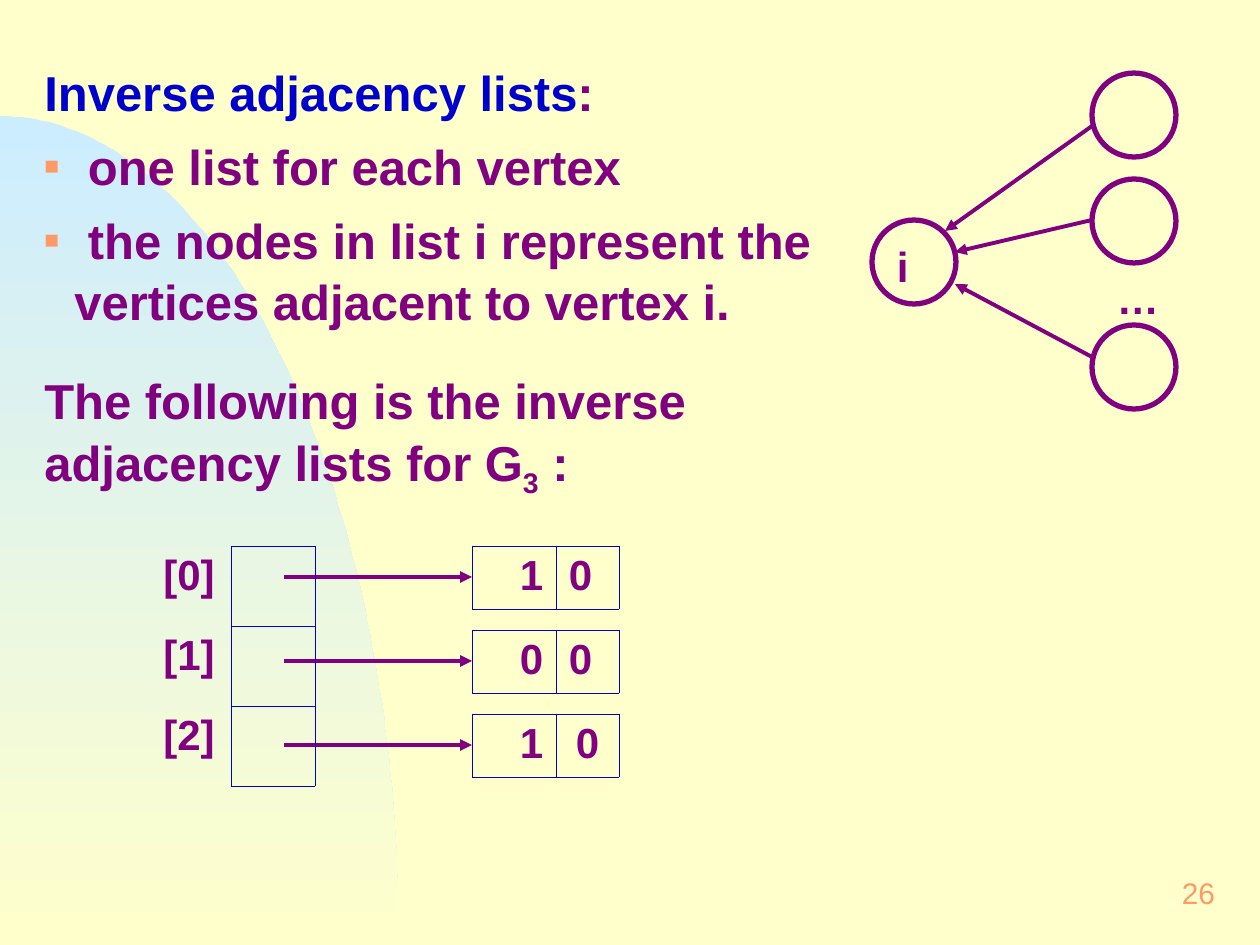
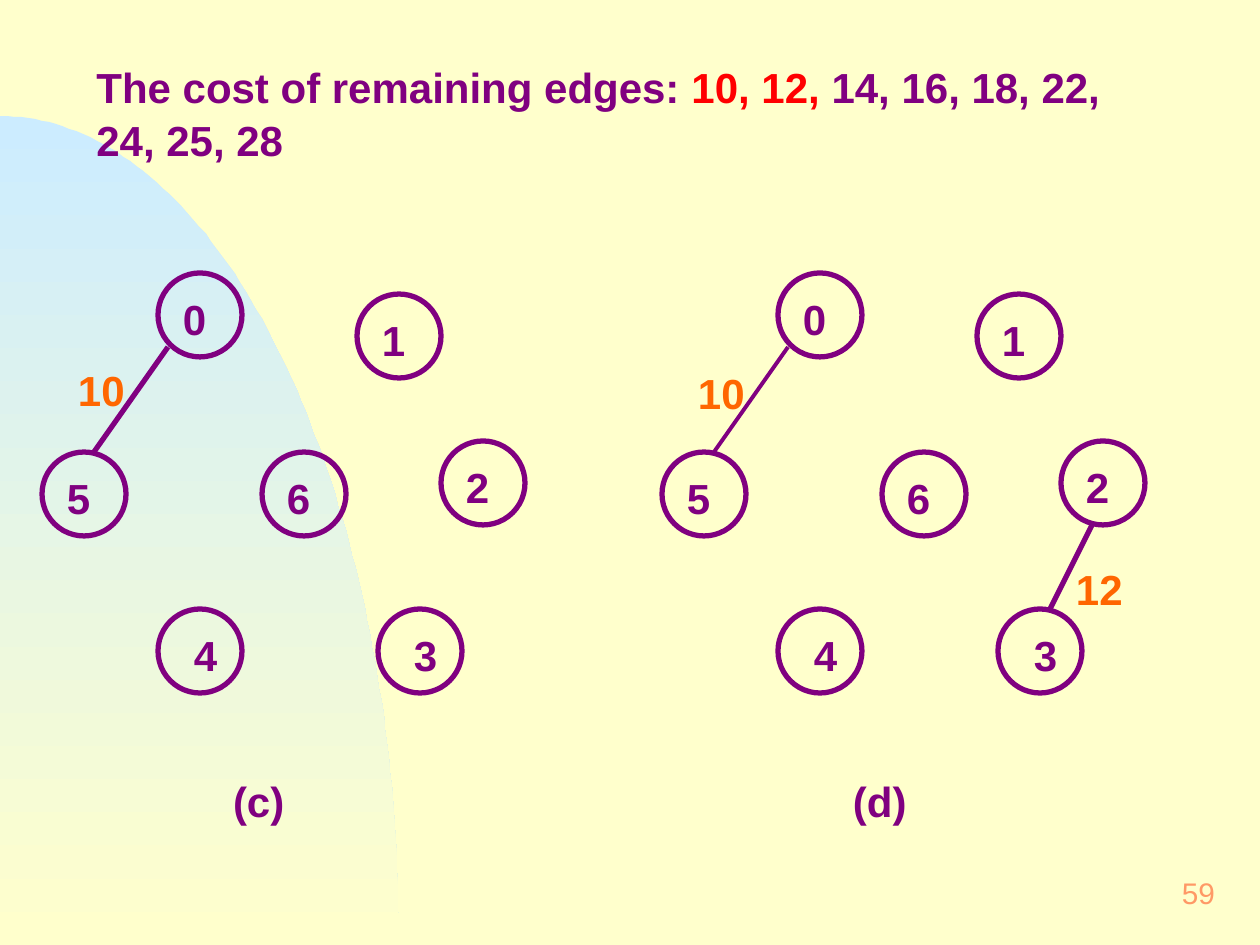
"""Build two graph slides: inverse adjacency lists and the first steps of a spanning tree."""
import math

import lxml.etree
import pptx
import pptx.dml.color
import pptx.enum.shapes
import pptx.enum.text
import pptx.oxml
import pptx.oxml.ns
import pptx.util

SCALE = 914400 / 126
WIDTH, HEIGHT = 1260, 945
CREAM, SKY, PURPLE, BLUE = "FFFFCC", "CCECFF", "800080", "0000CC"
SALMON, ORANGE, RED = "FF9966", "FF6600", "FF0000"
NODE = 84
HILL_WIDTH, HILL_TOP = 399, 116
NAMESPACE = pptx.oxml.ns.nsdecls("a")
ALIGN = pptx.enum.text.PP_ALIGN
rgb = pptx.dml.color.RGBColor.from_string


def px(*lengths):
    return [round(length * SCALE) for length in lengths]


def write(para, spans, size=24, bold=True):
    for text, color in spans:
        span = para.add_run()
        span.text = text
        span.font.name = "Arial"
        span.font.size = pptx.util.Pt(size)
        span.font.bold = bold
        span.font.color.rgb = rgb(color)


deck = pptx.Presentation()
deck.slide_width, deck.slide_height = px(WIDTH, HEIGHT)
background = deck.slide_master.background.fill
background.solid()
background.fore_color.rgb = rgb(CREAM)

list_page, tree_page = [deck.slides.add_slide(deck.slide_layouts[6]) for _ in range(2)]
hill = []
for step in range(1, 91):
    angle = math.radians(step)
    hill.append((HILL_WIDTH * math.sin(angle),
                 HEIGHT - (HEIGHT - HILL_TOP) * math.cos(angle)))

for page, number in ((list_page, "26"), (tree_page, "59")):
    builder = page.shapes.build_freeform(0, HILL_TOP, scale=SCALE)
    builder.add_line_segments(hill + [(0, HEIGHT)])
    shape = builder.convert_to_shape()
    shape.shadow.inherit = False
    shape.line.fill.background()
    shape.fill.gradient()
    shape.fill.gradient_angle = 270
    for stop, position, color in zip(shape.fill.gradient_stops, (0, 1), (SKY, CREAM)):
        stop.position = position
        stop.color.rgb = rgb(color)
    frame = page.shapes.add_textbox(*px(967, 861, 263, 63)).text_frame
    frame.word_wrap = True
    frame.margin_left = frame.margin_right = px(15)[0]
    frame.vertical_anchor = pptx.enum.text.MSO_ANCHOR.MIDDLE
    frame.paragraphs[0].alignment = ALIGN.RIGHT
    write(frame.paragraphs[0], [(number, SALMON)], 17, False)

# page, left, top, label, label shift
nodes = [(list_page, 872, 220, "i", 10)]
nodes += [(list_page, 1092, top, "", 0) for top in (73, 179, 325)]
labels = [(list_page, 1102, 262, "…", PURPLE)]
edges = [(list_page, 1092, 220, 955, 252, 2.25, True),
         (list_page, 1092, 126, 945, 231, 2.25, True),
         (list_page, 1092, 357, 955, 284, 2.25, True)]
edges += [(list_page, 284, top, 472, top, 2.25, True) for top in (577, 661, 745)]

places = [(158, 273), (357, 294), (441, 441), (378, 609), (158, 609), (42, 452), (262, 452)]
for left, caption, weight, cost_top in ((0, "(c)", 3, 354), (620, "(d)", 2.25, 357)):
    for vertex, (x, y) in enumerate(places):
        nodes.append((tree_page, left + x, y, str(vertex), 21 if vertex in (3, 4) else 10))
    edges.append((tree_page, left + 168, 347, left + 94, 452, weight, False))
    labels.append((tree_page, left + 63, cost_top, "10", ORANGE))
    labels.append((tree_page, left + 218, 765, caption, PURPLE))
edges.append((tree_page, 1092, 525, 1050, 609, 3, False))
labels.append((tree_page, 1061, 553, "12", ORANGE))

for page, left, top, label, shift in nodes:
    circle = page.shapes.add_shape(pptx.enum.shapes.MSO_SHAPE.OVAL, *px(left, top, NODE, NODE))
    circle.shadow.inherit = False
    circle.fill.background()
    circle.line.color.rgb = rgb(PURPLE)
    circle.line.width = pptx.util.Pt(3)
    if label:
        labels.append((page, left + shift, top + 10, label, PURPLE))

for page, left, top, text, color in labels:
    frame = page.shapes.add_textbox(*px(left, top, 94 if len(text) > 1 else 63, 65)).text_frame
    frame.word_wrap = True
    frame.margin_left, frame.margin_top, frame.margin_right, frame.margin_bottom = px(15, 8, 15, 8)
    frame.paragraphs[0].line_spacing = 1.05
    write(frame.paragraphs[0], [(text, color)])

for page, x1, y1, x2, y2, weight, arrow in edges:
    edge = page.shapes.add_connector(pptx.enum.shapes.MSO_CONNECTOR.STRAIGHT, *px(x1, y1, x2, y2))
    edge.line.color.rgb = rgb(PURPLE)
    edge.line.width = pptx.util.Pt(weight)
    if arrow:
        edge.line._get_or_add_ln().append(
            pptx.oxml.parse_xml(f'<a:tailEnd {NAMESPACE} type="triangle"/>'))
    lxml.etree.SubElement(edge._element.spPr, pptx.oxml.ns.qn("a:effectLst"))

frame = list_page.shapes.add_textbox(*px(32, 53, 819, 435)).text_frame
frame.word_wrap = True
statements = [
    (0, False, [("Inverse adjacency lists", BLUE), (":", PURPLE)]),
    (7, True, [(" one list for each vertex", PURPLE)]),
    (7, True, [(" the nodes in list i represent the vertices adjacent to vertex i.", PURPLE)]),
    (21, False, [("The following is the inverse adjacency lists for G", PURPLE),
                 ("3", PURPLE), (" :", PURPLE)]),
]
for index, (space, bullet, spans) in enumerate(statements):
    para = frame.add_paragraph() if index else frame.paragraphs[0]
    para.line_spacing = 1.05
    if space:
        para.space_before = pptx.util.Pt(space)
    if bullet:
        properties = para._p.get_or_add_pPr()
        hang = px(30)[0]
        properties.set("marL", str(hang))
        properties.set("indent", str(-hang))
        for markup in (f'<a:buClr {NAMESPACE}><a:srgbClr val="{SALMON}"/></a:buClr>',
                       f'<a:buSzPct {NAMESPACE} val="50000"/>',
                       f'<a:buFont {NAMESPACE} typeface="Arial"/>',
                       f'<a:buChar {NAMESPACE} char="■"/>'):
            properties.append(pptx.oxml.parse_xml(markup))
    write(para, spans, 28)
frame.paragraphs[3].runs[1].font._element.set("baseline", "-25000")

# left, top, column widths, row height, rows of (text, alignment, left margin, bordered sides)
tables = [(147, 546, (84, 84), 80,
           [[(f"[{row}]", ALIGN.CENTER, 13, "R"), ("", ALIGN.LEFT, 13, "LRTB")]
            for row in range(3)])]
for row, (vertex, alignment) in enumerate((("1", ALIGN.LEFT), ("0", ALIGN.LEFT),
                                           ("1", ALIGN.CENTER))):
    tables.append((472, 546 + 84 * row, (84, 63), 63,
                   [[(vertex, ALIGN.LEFT, 48, "LRTB"), ("0", alignment, 13, "LRTB")]]))

for left, top, widths, row_height, rows in tables:
    table = list_page.shapes.add_table(
        len(rows), len(widths), *px(left, top, sum(widths), row_height * len(rows))).table
    table.first_row = table.horz_banding = False
    table._tbl.tblPr[0].text = "{2D5ABB26-0587-4C30-8999-92F81FD0307C}"
    for column, width in zip(table.columns, px(*widths)):
        column.width = width
    for row, contents in zip(table.rows, rows):
        row.height = px(row_height)[0]
        for cell, (text, alignment, margin, sides) in zip(row.cells, contents):
            cell.fill.background()
            cell.margin_left = px(margin)[0]
            cell.margin_right = px(4)[0] if margin > 13 else px(13)[0]
            para = cell.text_frame.paragraphs[0]
            para.alignment = alignment
            if text:
                write(para, [(text, PURPLE)])
            for position, side in enumerate(sides):
                cell._tc.get_or_add_tcPr().insert(position, pptx.oxml.parse_xml(
                    f'<a:ln{side} {NAMESPACE} w="5715"><a:solidFill>'
                    f'<a:srgbClr val="{BLUE}"/></a:solidFill></a:ln{side}>'))

frame = tree_page.shapes.add_textbox(*px(84, 53, 1029, 113)).text_frame
frame.word_wrap = True
frame.paragraphs[0].line_spacing = 1.05
write(frame.paragraphs[0], [("The cost of remaining edges: ", PURPLE), ("10, 12,", RED),
                            (" 14, 16, 18, 22, 24, 25, 28", PURPLE)])

deck.save("out.pptx")
